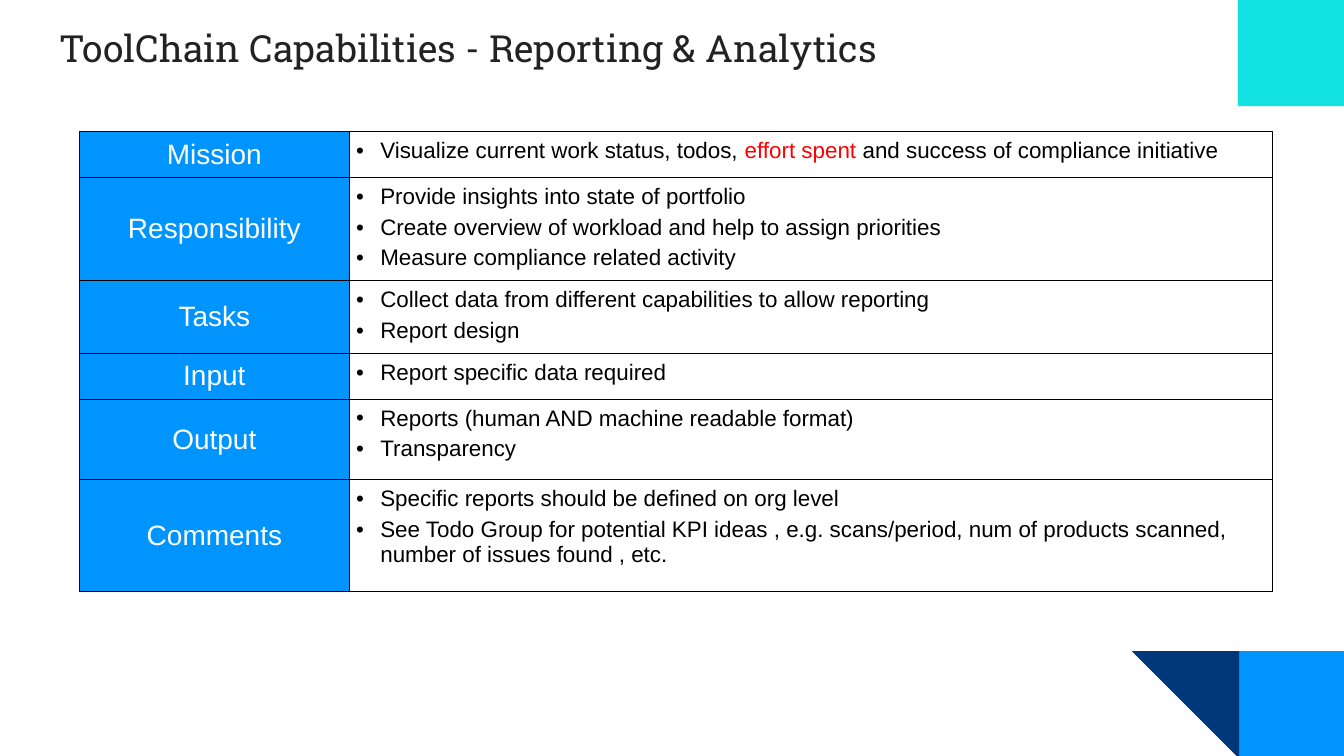
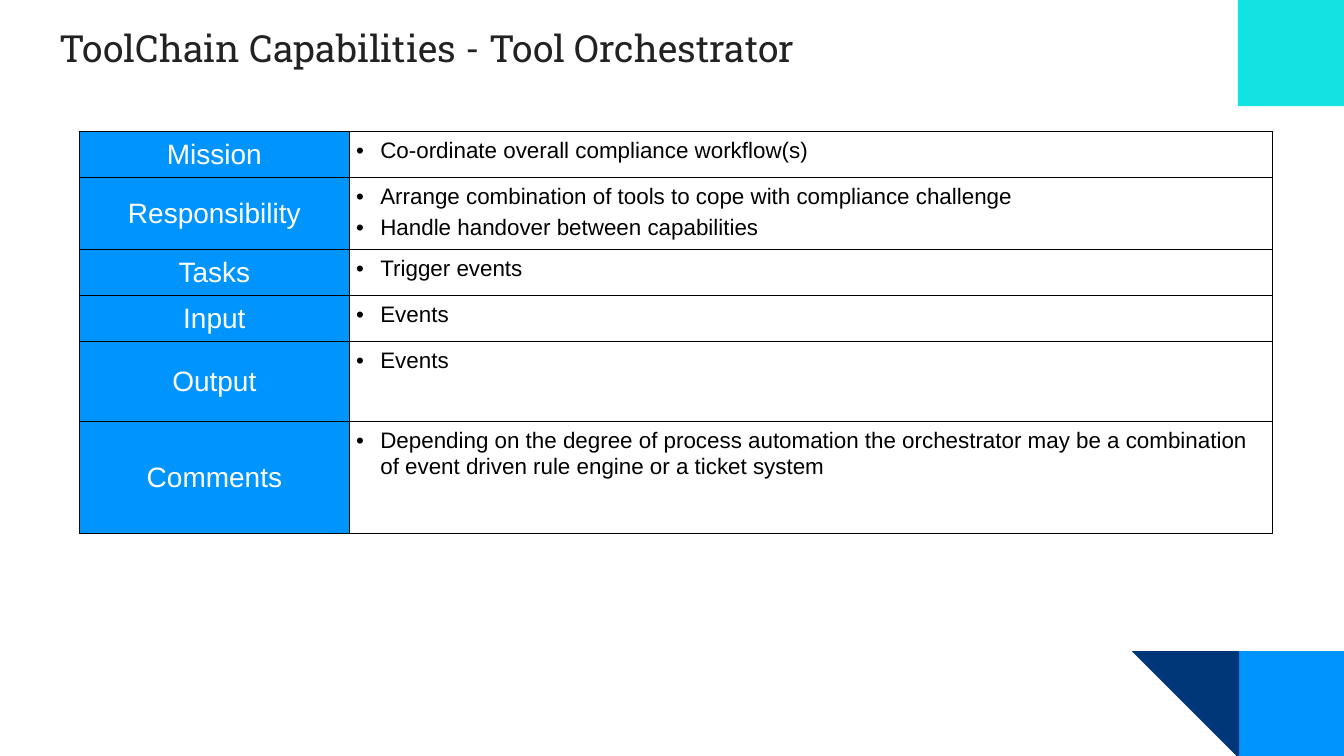
from dataclasses import dataclass

from lxml.etree import SubElement
from pptx import Presentation
from pptx.dml.color import RGBColor
from pptx.enum.shapes import MSO_SHAPE
from pptx.enum.text import MSO_ANCHOR, PP_ALIGN
from pptx.oxml import parse_xml
from pptx.oxml.ns import nsdecls, qn
from pptx.util import Inches, Pt

BLUE = RGBColor(0x00, 0x94, 0xFF)
NAVY = RGBColor(0x00, 0x37, 0x78)
TEAL = RGBColor(0x12, 0xE2, 0xE2)
INK = RGBColor(0x22, 0x22, 0x22)
BLACK = RGBColor(0x00, 0x00, 0x00)
WHITE = RGBColor(0xFF, 0xFF, 0xFF)
RED = RGBColor(0xFF, 0x00, 0x00)

TITLE_FONT = "Roboto Slab"
BODY_FONT = "Arial"

GRID_COLUMNS = 100
GRID_ROWS = 56.25
CELL = Inches(0.1)

LABELS = ["Mission", "Responsibility", "Tasks", "Input", "Output", "Comments"]
ROWS_BY_BULLETS = {1: 3.4, 2: 5.4, 3: 7.7}
MINIMUM_ROWS = {"Output": 6, "Comments": 8.3}

CAPABILITIES = {
    "ToolChain Capabilities - Reporting & Analytics": [
        [[("Visualize current work status, todos, ", BLACK),
          ("effort spent ", RED),
          ("and success of compliance initiative", BLACK)]],
        ["Provide insights into state of portfolio",
         "Create overview of workload and help to assign priorities",
         "Measure compliance related activity"],
        ["Collect data from different capabilities to allow reporting",
         "Report design"],
        ["Report specific data required"],
        ["Reports (human AND machine readable format)", "Transparency"],
        ["Specific reports should be defined on org level",
         "See Todo Group for potential KPI ideas , e.g. scans/period, "
         "num of products scanned, number of issues found , etc."],
    ],
    "ToolChain Capabilities - Tool Orchestrator": [
        ["Co-ordinate overall compliance workflow(s)"],
        ["Arrange combination of tools to cope with compliance challenge",
         "Handle handover between capabilities"],
        ["Trigger events"],
        ["Events"],
        ["Events"],
        ["Depending on the degree of process automation the orchestrator may be "
         "a combination of event driven rule engine or a ticket system"],
    ],
}


@dataclass
class Box:
    left: float
    top: float
    width: float
    height: float

    def lengths(self):
        return [grid(value) for value in (self.left, self.top, self.width, self.height)]


PAGE = Box(0, 0, GRID_COLUMNS, GRID_ROWS)
TITLE_BOX = Box(3.4, 0.9, 93.2, 6.6)
TABLE_BOX = Box(5.9, 9.8, 88.8, 34.4)


def grid(cells):
    return round(cells * CELL)


def add_corner(slide, kind, box, color, rotation=0):
    shape = slide.shapes.add_shape(kind, *box.lengths())
    shape.shadow.inherit = False
    shape.fill.solid()
    shape.fill.fore_color.rgb = color
    shape.line.fill.background()
    shape.rotation = rotation


def draw_corners(slide, box, side=7.9):
    right = box.left + box.width
    square_left = right - side
    bottom_top = box.top + box.height - side + 0.1
    add_corner(slide, MSO_SHAPE.RECTANGLE,
               Box(square_left + 0.1, bottom_top, side, side), BLUE)
    add_corner(slide, MSO_SHAPE.RIGHT_TRIANGLE,
               Box(square_left - side, bottom_top, side + 0.1, side + 0.1), NAVY, 180)
    add_corner(slide, MSO_SHAPE.RECTANGLE, Box(square_left, box.top, side, side), TEAL)


def write_title(slide, box, text):
    title = slide.shapes.title
    title.left, title.top, title.width, title.height = box.lengths()
    frame = title.text_frame
    frame.word_wrap = True
    frame.vertical_anchor = MSO_ANCHOR.TOP
    frame.margin_left = frame.margin_right = grid(1)
    frame.margin_top = frame.margin_bottom = grid(1)
    frame.text = text
    paragraph = frame.paragraphs[0]
    paragraph.alignment = PP_ALIGN.LEFT
    style_font(paragraph.font, TITLE_FONT, 20, INK)


def style_font(font, name, size, color):
    font.name = name
    font.size = Pt(size)
    font.bold = False
    font.color.rgb = color


def set_margins(cell, margin):
    cell.margin_left = cell.margin_right = grid(margin)
    cell.margin_top = cell.margin_bottom = grid(margin)


def add_borders(cell):
    properties = cell._tc.get_or_add_tcPr()
    for position, side in enumerate(("lnL", "lnR", "lnT", "lnB")):
        properties.insert(position, parse_xml(
            f'<a:{side} {nsdecls("a")} w="{Pt(0.5)}"><a:solidFill>'
            f'<a:srgbClr val="{BLACK}"/></a:solidFill></a:{side}>'))


def add_bullet(paragraph):
    properties = paragraph._p.get_or_add_pPr()
    properties.set("marL", str(grid(1.8)))
    properties.set("indent", str(-grid(1.8)))
    color = SubElement(properties, qn("a:buClr"))
    SubElement(color, qn("a:srgbClr"), val=str(BLACK))
    SubElement(properties, qn("a:buFont"), typeface=BODY_FONT)
    SubElement(properties, qn("a:buChar"), char="•")


def fill_label(cell, label):
    cell.fill.solid()
    cell.fill.fore_color.rgb = BLUE
    cell.vertical_anchor = MSO_ANCHOR.MIDDLE
    set_margins(cell, 0)
    cell.text = label
    paragraph = cell.text_frame.paragraphs[0]
    paragraph.alignment = PP_ALIGN.CENTER
    style_font(paragraph.font, BODY_FONT, 15, WHITE)


def fill_bullets(cell, bullets):
    cell.fill.background()
    cell.vertical_anchor = MSO_ANCHOR.TOP
    set_margins(cell, 0.5)
    frame = cell.text_frame
    for index, bullet in enumerate(bullets):
        paragraph = frame.add_paragraph() if index else frame.paragraphs[0]
        add_bullet(paragraph)
        paragraph.space_before = Pt(3 if index else 0)
        style_font(paragraph.font, BODY_FONT, 12, BLACK)
        if isinstance(bullet, str):
            paragraph.add_run().text = bullet
            continue
        for text, color in bullet:
            run = paragraph.add_run()
            run.text = text
            run.font.color.rgb = color


def draw_capability_table(slide, box, bullet_lists, label_columns=20.1):
    heights = [max(ROWS_BY_BULLETS[len(bullets)], MINIMUM_ROWS.get(label, 0))
               for label, bullets in zip(LABELS, bullet_lists)]
    area = Box(box.left, box.top, box.width, sum(heights))
    table = slide.shapes.add_table(len(LABELS), 2, *area.lengths()).table
    table.first_row = False
    table.horz_banding = False
    table.columns[0].width = grid(label_columns)
    table.columns[1].width = grid(box.width - label_columns)
    for index, (label, bullets) in enumerate(zip(LABELS, bullet_lists)):
        table.rows[index].height = grid(heights[index])
        fill_label(table.cell(index, 0), label)
        fill_bullets(table.cell(index, 1), bullets)
    for cell in table.iter_cells():
        add_borders(cell)


def add_capability_slide(presentation, title, bullet_lists):
    slide = presentation.slides.add_slide(presentation.slide_layouts[5])
    draw_corners(slide, PAGE)
    write_title(slide, TITLE_BOX, title)
    draw_capability_table(slide, TABLE_BOX, bullet_lists)


def main():
    presentation = Presentation()
    presentation.slide_width = grid(GRID_COLUMNS)
    presentation.slide_height = grid(GRID_ROWS)
    for title, bullet_lists in CAPABILITIES.items():
        add_capability_slide(presentation, title, bullet_lists)
    presentation.save("out.pptx")


if __name__ == "__main__":
    main()
